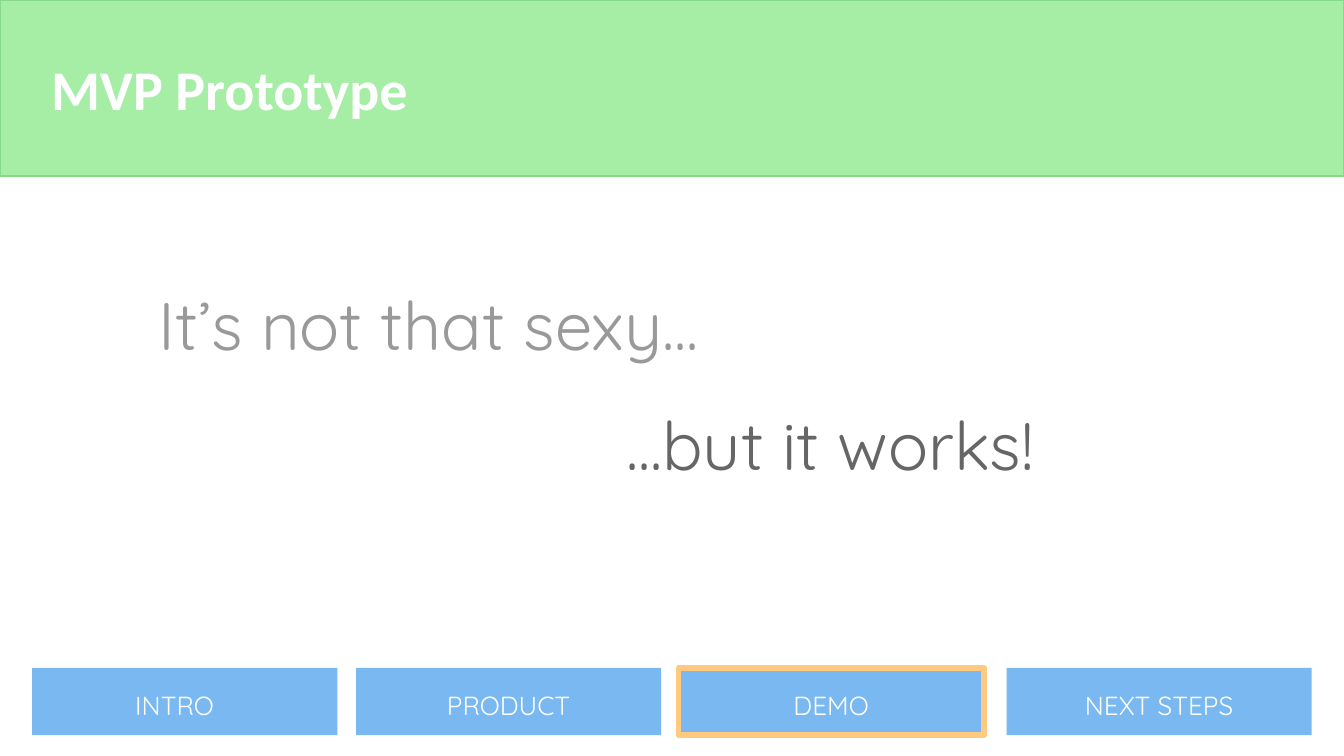
import pptx
import pptx.util
import pptx.dml.color
import pptx.enum.shapes
import pptx.enum.text
import pptx.oxml.ns
import lxml.etree
from dataclasses import dataclass

Inches = pptx.util.Inches
Pt = pptx.util.Pt
Align = pptx.enum.text.PP_ALIGN
Anchor = pptx.enum.text.MSO_ANCHOR


@dataclass(frozen=True)
class Theme:
    green: str = "A1EDA0"
    edge: str = "88D88A"
    blue: str = "79B8F1"
    orange: str = "FFC97F"
    white: str = "FFFFFF"
    gray: str = "999999"
    dark: str = "666666"
    head: str = "Calibri"
    body: str = "Quicksand"
    title: int = 30
    large: int = 36
    small: int = 14


THEME = Theme()


def rgb(code):
    return pptx.dml.color.RGBColor.from_string(code)


def write(shape, text, size, color, font=THEME.body, bold=False,
          align=Align.LEFT, anchor=Anchor.TOP, left=0.1, top=0.1, right=0.1):
    frame = shape.text_frame
    frame.word_wrap = True
    frame.vertical_anchor = anchor
    frame.margin_left, frame.margin_top = Inches(left), Inches(top)
    frame.margin_right, frame.margin_bottom = Inches(right), Inches(0.1)
    para = frame.paragraphs[0]
    para.alignment = align
    run = para.add_run()
    run.text = text
    run.font.name = font
    run.font.size = Pt(size)
    run.font.bold = bold
    run.font.color.rgb = rgb(color)


def block(slide, box, fill, line=None, width=0.75, alpha=None):
    shape = slide.shapes.add_shape(
        pptx.enum.shapes.MSO_SHAPE.RECTANGLE, *map(Inches, box))
    shape.shadow.inherit = False
    shape.fill.solid()
    shape.fill.fore_color.rgb = rgb(fill)
    if alpha:
        qn = pptx.oxml.ns.qn
        tint = shape.fill._xPr.find(qn("a:solidFill")).find(qn("a:srgbClr"))
        lxml.etree.SubElement(tint, qn("a:alpha")).set("val", str(alpha * 1000))
    if line:
        shape.line.color.rgb = rgb(line)
        shape.line.width = Pt(width)
    else:
        shape.line.fill.background()
    return shape


def header(slide, box, title):
    band = block(slide, box, THEME.green, line=THEME.edge, alpha=94)
    write(band, title, THEME.title, THEME.white, font=THEME.head, bold=True,
          anchor=Anchor.MIDDLE, left=0.38)


def message(slide, box):
    left, top, width, height = box
    lines = (
        (3.03, 0.89, "...but it works!", THEME.dark, Align.CENTER),
        (0, 0, "It’s not that sexy...", THEME.gray, Align.RIGHT),
    )
    for dx, dy, text, color, align in lines:
        area = (left + dx, top + dy, width - 3.03, height - 0.89)
        label = slide.shapes.add_textbox(*map(Inches, area))
        write(label, text, THEME.large, color, align=align)


def menu(slide, box, active):
    left, top, width, height = box
    wide = 2.27
    tabs = (
        ("INTRO", 0, 0.25),
        ("PRODUCT", 2.41, 0.1),
        ("DEMO", 4.81, 0.1),
        ("NEXT STEPS", width - wide, 0.1),
    )
    for name, dx, right in tabs:
        line = THEME.orange if name == active else None
        tab = block(slide, (left + dx, top, wide, height),
                    THEME.blue, line=line, width=3)
        write(tab, name, THEME.small, THEME.white,
              align=Align.CENTER, top=0.16, right=right)


def main():
    deck = pptx.Presentation()
    deck.slide_width = Inches(10)
    deck.slide_height = Inches(10 * 9 / 16)
    slide = deck.slides.add_slide(deck.slide_layouts[6])
    header(slide, (0, 0, 10, 1.31), "MVP Prototype")
    menu(slide, (0.24, 4.97, 9.52, 0.5), "DEMO")
    message(slide, (0.99, 2.01, 7.34, 1.79))
    deck.save("out.pptx")


if __name__ == "__main__":
    main()
